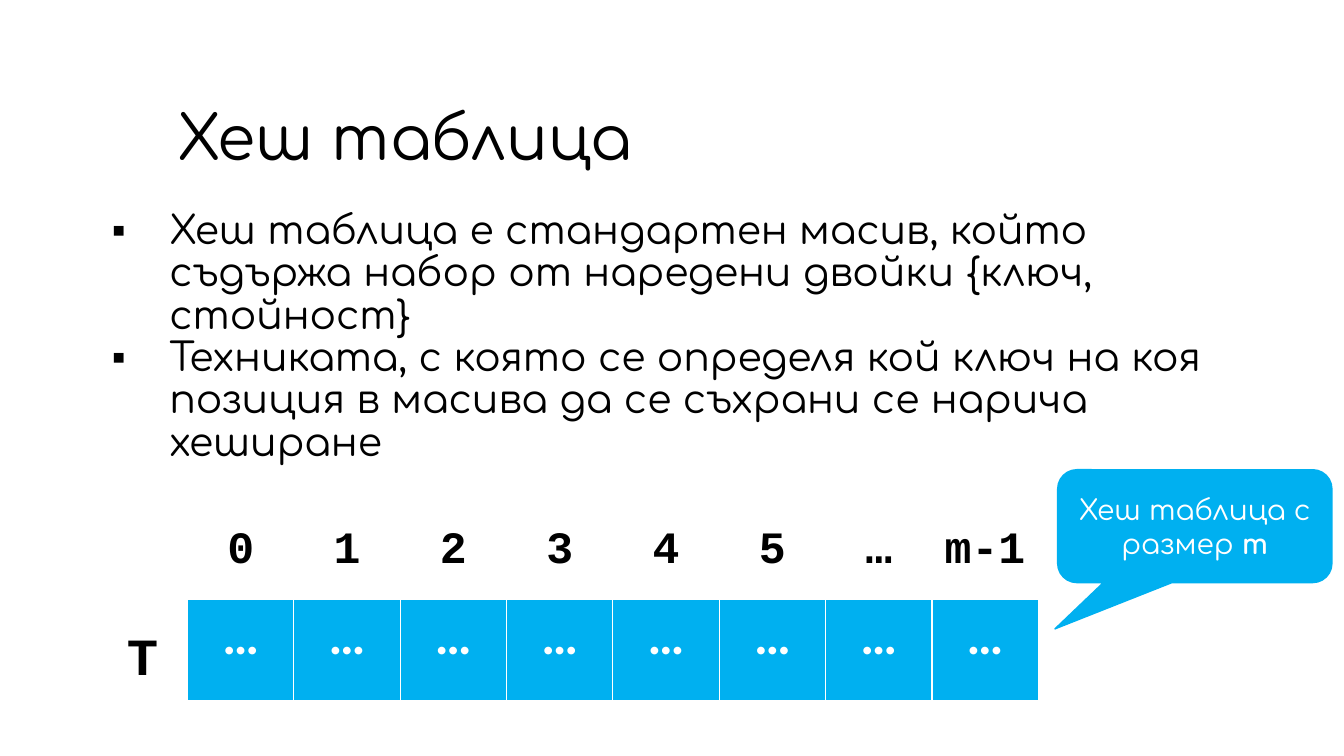
import pptx
import pptx.util
import pptx.dml.color
import pptx.enum.text
import pptx.enum.shapes
import pptx.oxml.ns
import lxml.etree

TITLE = "Хеш таблица"
BULLETS = [
    "Хеш таблица е стандартен масив, който съдържа набор от наредени двойки {ключ, стойност}",
    "Техниката, с която се определя кой ключ на коя позиция в масива да се съхрани се нарича хеширане",
]
INDEXES = ["0", "1", "2", "3", "4", "5", "…", "m-1"]
VALUES = ["…"] * len(INDEXES)
ARRAY_NAME = "T"
CALLOUT = [("Хеш таблица с размер ", False), ("m", True)]

BLUE, WHITE, BLACK = "00B0F0", "FFFFFF", "000000"
TEXT_FONT, CODE_FONT, CELL_FONT = "Comfortaa", "Courier New", "Calibri"
GRID_LEFT, GRID_WIDTH = 1.86, 8.44
ALIGN = pptx.enum.text.PP_ALIGN
ANCHOR = pptx.enum.text.MSO_ANCHOR
qn = pptx.oxml.ns.qn


def inches(*values):
    return [pptx.util.Inches(v) for v in values]


def rgb(value):
    return pptx.dml.color.RGBColor.from_string(value)


def write(p, text, font=TEXT_FONT, size=28, color=BLACK, bold=False, align=ALIGN.LEFT, spacing=None):
    p.alignment = align
    if spacing:
        p.line_spacing = spacing
    r = p.add_run()
    r.text = text
    r.font.name, r.font.size, r.font.bold = font, pptx.util.Pt(size), bold
    r.font.color.rgb = rgb(color)


def set_frame(tf, side, top, anchor=ANCHOR.TOP):
    tf.word_wrap = True
    tf.auto_size = pptx.enum.text.MSO_AUTO_SIZE.NONE
    tf.vertical_anchor = anchor
    tf.margin_left = tf.margin_right = pptx.util.Inches(side)
    tf.margin_top = tf.margin_bottom = pptx.util.Inches(top)


def place(sp, *box):
    sp.left, sp.top, sp.width, sp.height = inches(*box)


def set_bullet(p, char, margin, hanging):
    pPr = p._p.get_or_add_pPr()
    pPr.set("marL", str(pptx.util.Inches(margin)))
    pPr.set("indent", str(-pptx.util.Inches(hanging)))
    color = lxml.etree.SubElement(pPr, qn("a:buClr"))
    lxml.etree.SubElement(color, qn("a:srgbClr"), val=BLACK)
    lxml.etree.SubElement(pPr, qn("a:buFont"), typeface="Arial")
    lxml.etree.SubElement(pPr, qn("a:buChar"), char=char)


def set_borders(cell, color):
    tcPr = cell._tc.get_or_add_tcPr()
    for side in ("lnL", "lnR", "lnT", "lnB"):
        ln = lxml.etree.SubElement(tcPr, qn("a:" + side), w=str(pptx.util.Pt(1)))
        fill = lxml.etree.SubElement(ln, qn("a:solidFill"))
        lxml.etree.SubElement(fill, qn("a:srgbClr"), val=color)


def add_row(slide, texts, top, height, side, pad, fill=None, **fmt):
    box = inches(GRID_LEFT, top, GRID_WIDTH, height)
    table = slide.shapes.add_table(1, len(texts), *box).table
    table.first_row = table.horz_banding = False
    for column, cell, text in zip(table.columns, table.rows[0].cells, texts):
        column.width = pptx.util.Inches(GRID_WIDTH / len(texts))
        cell.margin_left = cell.margin_right = pptx.util.Inches(side)
        cell.margin_top = cell.margin_bottom = pptx.util.Inches(pad)
        if fill:
            set_borders(cell, WHITE)
            cell.fill.solid()
            cell.fill.fore_color.rgb = rgb(fill)
        else:
            cell.fill.background()
        write(cell.text_frame.paragraphs[0], text, bold=True, align=ALIGN.CENTER, spacing=0.95, **fmt)


def main():
    prs = pptx.Presentation()
    prs.slide_width, prs.slide_height = inches(13.33, 7.5)
    slide = prs.slides.add_slide(prs.slide_layouts[1])

    title, body = slide.shapes.title, slide.placeholders[1]
    place(title, 1.64, 0.93, 10.59, 0.84)
    set_frame(title.text_frame, 0.12, 0.04, ANCHOR.MIDDLE)
    write(title.text_frame.paragraphs[0], TITLE, size=44)

    place(body, 0.89, 2.05, 11.26, 3.33)
    tf = body.text_frame
    set_frame(tf, 0.12, 0.04)
    for i, text in enumerate(BULLETS):
        p = tf.add_paragraph() if i else tf.paragraphs[0]
        set_bullet(p, "▪", 0.67, 0.57)
        p.space_before = pptx.util.Pt(0)
        write(p, text, spacing=0.9)

    add_row(slide, VALUES, 5.95, 1, 0.18, 0.07, fill=BLUE, font=CELL_FONT, size=37, color=WHITE)
    add_row(slide, INDEXES, 5.17, 0.61, 0.07, 0.05, font=CODE_FONT, size=32)

    label = slide.shapes.add_textbox(*inches(1.13, 6.11, 0.56, 0.76))
    set_frame(label.text_frame, 0.13, 0.07)
    write(label.text_frame.paragraphs[0], ARRAY_NAME, font=CODE_FONT, size=37.3, bold=True, align=ALIGN.CENTER)

    callout = slide.shapes.add_shape(
        pptx.enum.shapes.MSO_SHAPE.ROUNDED_RECTANGULAR_CALLOUT, *inches(10.49, 4.66, 2.72, 1.12))
    for i, value in enumerate((-0.51, 0.91, 0.17)):
        callout.adjustments[i] = value
    callout.shadow.inherit = False
    callout.fill.solid()
    callout.fill.fore_color.rgb = rgb(BLUE)
    callout.line.color.rgb = rgb(BLUE)
    callout.line.width = pptx.util.Pt(1)
    set_frame(callout.text_frame, 0.13, 0.07, ANCHOR.MIDDLE)
    for text, bold in CALLOUT:
        write(callout.text_frame.paragraphs[0], text, size=20, color=WHITE, bold=bold, align=ALIGN.CENTER)

    prs.save("out.pptx")


if __name__ == "__main__":
    main()
